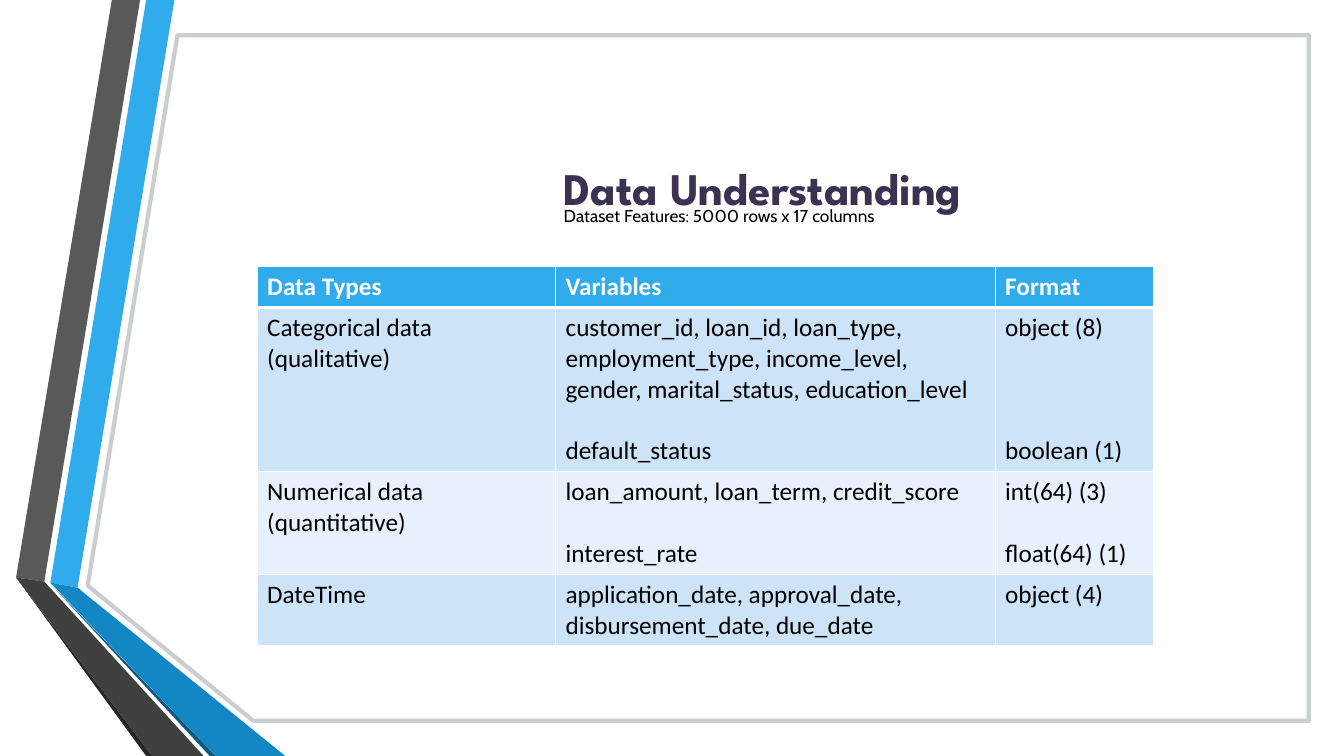
from lxml import etree
from pptx import Presentation
from pptx.dml.color import RGBColor
from pptx.enum import text
from pptx.oxml import ns
from pptx.util import Inches, Pt

WHITE = RGBColor(0xFF, 0xFF, 0xFF)
BLACK = RGBColor(0, 0, 0)
PURPLE = RGBColor(0x3B, 0x32, 0x52)
BLUE = RGBColor(0x30, 0xAC, 0xEC)
MID_BLUE = RGBColor(0x12, 0x87, 0xC3)
DEEP_BLUE = RGBColor(0x0C, 0x5A, 0x82)
GRAY = RGBColor(0x59, 0x59, 0x59)
DARK_GRAY = RGBColor(0x40, 0x40, 0x40)
CHARCOAL = RGBColor(0x26, 0x26, 0x26)
FRAME_GRAY = RGBColor(0xCB, 0xCE, 0xCF)
BAND_DARK = RGBColor(0xCD, 0xE3, 0xF8)
BAND_LIGHT = RGBColor(0xE8, 0xF1, 0xFB)

RIBBONS = [
    (BLUE, [(0.5, 5.78), (0.77, 5.83), (1.73, 0), (1.45, 0)]),
    (GRAY, [(1.39, 0), (1.11, 0), (0.16, 5.73), (0.44, 5.77)]),
    (CHARCOAL, [(0.16, 5.73), (1.45, 7.5), (1.51, 7.5)]),
    (DEEP_BLUE, [(0.5, 5.79), (2.08, 7.5), (2.14, 7.5)]),
    (MID_BLUE, [(0.5, 5.78), (2.14, 7.5), (2.83, 7.5), (0.77, 5.83)]),
    (DARK_GRAY, [(2.02, 7.5), (0.44, 5.77), (0.16, 5.73), (1.51, 7.5)]),
]
FRAME = [(1.76, 0.35), (12.98, 0.35), (12.98, 7.15), (2.51, 7.15), (0.87, 5.81)]

TITLE = "Data Understanding"
SUBTITLE = "Dataset Features: 5000 rows x 17 columns"
COLUMN_WIDTHS = [2.96, 4.36, 1.57]
HEADER = ["Data Types", "Variables", "Format"]
ROWS = [
    (["Categorical data", "(qualitative)"],
     ["customer_id, loan_id, loan_type, employment_type, income_level, "
      "gender, marital_status, education_level", "default_status"],
     ["object (8)", "boolean (1)"]),
    (["Numerical data", "(quantitative)"],
     ["loan_amount, loan_term, credit_score", "interest_rate"],
     ["int(64) (3)", "float(64) (1)"]),
    (["DateTime"],
     ["application_date, approval_date, disbursement_date, due_date"],
     ["object (4)"]),
]
ROW_HEIGHTS = [0.41, 1.62, 1.02, 0.71]
BANDS = [BLUE, BAND_DARK, BAND_LIGHT, BAND_DARK]
LINE_POINTS = 22
GAP_LINES = {(1, 1): 1, (1, 2): 3, (2, 1): 1, (2, 2): 1}


def write(frame, lines, font, size, color, bold=False, align=text.PP_ALIGN.LEFT, gap=0):
    """Write one paragraph per line, with a gap in points between them."""
    for index, line in enumerate(lines):
        para = frame.add_paragraph() if index else frame.paragraphs[0]
        para.alignment = align
        para.space_before = Pt(gap if index else 0)
        span = para.add_run()
        span.text = line
        span.font.name, span.font.size = font, Pt(size)
        span.font.bold, span.font.color.rgb = bold, color


def setup_box(box, left, top, width, height, anchor):
    """Place a text box with no margins."""
    box.left, box.top = Inches(left), Inches(top)
    box.width, box.height = Inches(width), Inches(height)
    frame = box.text_frame
    frame.margin_left = frame.margin_top = frame.margin_right = frame.margin_bottom = 0
    frame.word_wrap, frame.vertical_anchor = True, anchor
    frame.auto_size = text.MSO_AUTO_SIZE.NONE
    return frame


def draw_outline(shapes, points, fill):
    """Draw a closed polygon from points in inches."""
    corners = [(Inches(x), Inches(y)) for x, y in points]
    builder = shapes.build_freeform(*corners[0], scale=1.0)
    builder.add_line_segments(corners[1:], close=True)
    shape = builder.convert_to_shape()
    shape.shadow.inherit = False
    shape.fill.solid()
    shape.fill.fore_color.rgb = fill
    shape.line.fill.background()
    return shape


def set_borders(cell, top, bottom):
    """Give a cell white borders, with top and bottom widths in points."""
    properties = cell._tc.get_or_add_tcPr()
    for index, (side, width) in enumerate(zip("LRTB", (1, 1, top, bottom))):
        line = etree.Element(ns.qn(f"a:ln{side}"), w=str(Pt(width)))
        fill = etree.SubElement(line, ns.qn("a:solidFill"))
        etree.SubElement(fill, ns.qn("a:srgbClr"), val=str(WHITE))
        properties.insert(index, line)


def add_features(page):
    """Add the table of data types, variables and formats."""
    rows = [[[label] for label in HEADER]] + ROWS
    table = page.shapes.add_table(
        len(rows), len(HEADER), Inches(2.55), Inches(2.64),
        Inches(sum(COLUMN_WIDTHS)), Inches(sum(ROW_HEIGHTS))).table
    for column, width in zip(table.columns, COLUMN_WIDTHS):
        column.width = Inches(width)
    for r, (row, height, band) in enumerate(zip(rows, ROW_HEIGHTS, BANDS)):
        table.rows[r].height = Inches(height)
        for c, lines in enumerate(row):
            cell = table.cell(r, c)
            cell.fill.solid()
            cell.fill.fore_color.rgb = band
            set_borders(cell, 3 if r == 1 else 1, 3 if r == 0 else 1)
            write(cell.text_frame, lines, "Calibri", 18, BLACK if r else WHITE,
                  bold=r == 0, gap=GAP_LINES.get((r, c), 0) * LINE_POINTS)


def main():
    """Build the data understanding slide."""
    deck = Presentation()
    deck.slide_width, deck.slide_height = Inches(13.33), Inches(7.5)
    page = deck.slides.add_slide(deck.slide_layouts[5])

    ribbons = page.shapes.add_group_shape()
    for color, points in RIBBONS:
        draw_outline(ribbons.shapes, points, color)
    border = draw_outline(page.shapes, FRAME, WHITE)
    border.line.color.rgb, border.line.width = FRAME_GRAY, Pt(3)

    title = page.shapes.title
    title.element.getparent().append(title.element)
    frame = setup_box(title, 4.38, 1.51, 6.37, 0.69, text.MSO_ANCHOR.MIDDLE)
    write(frame, [TITLE], "League Spartan", 32.3, PURPLE, bold=True,
          align=text.PP_ALIGN.CENTER)
    subtitle = page.shapes.add_textbox(0, 0, 0, 0)
    frame = setup_box(subtitle, 4.45, 2.04, 5.37, 0.31, text.MSO_ANCHOR.TOP)
    write(frame, [SUBTITLE], "Cabin", 12.3, BLACK, align=text.PP_ALIGN.CENTER)

    add_features(page)
    deck.save("out.pptx")


if __name__ == "__main__":
    main()
